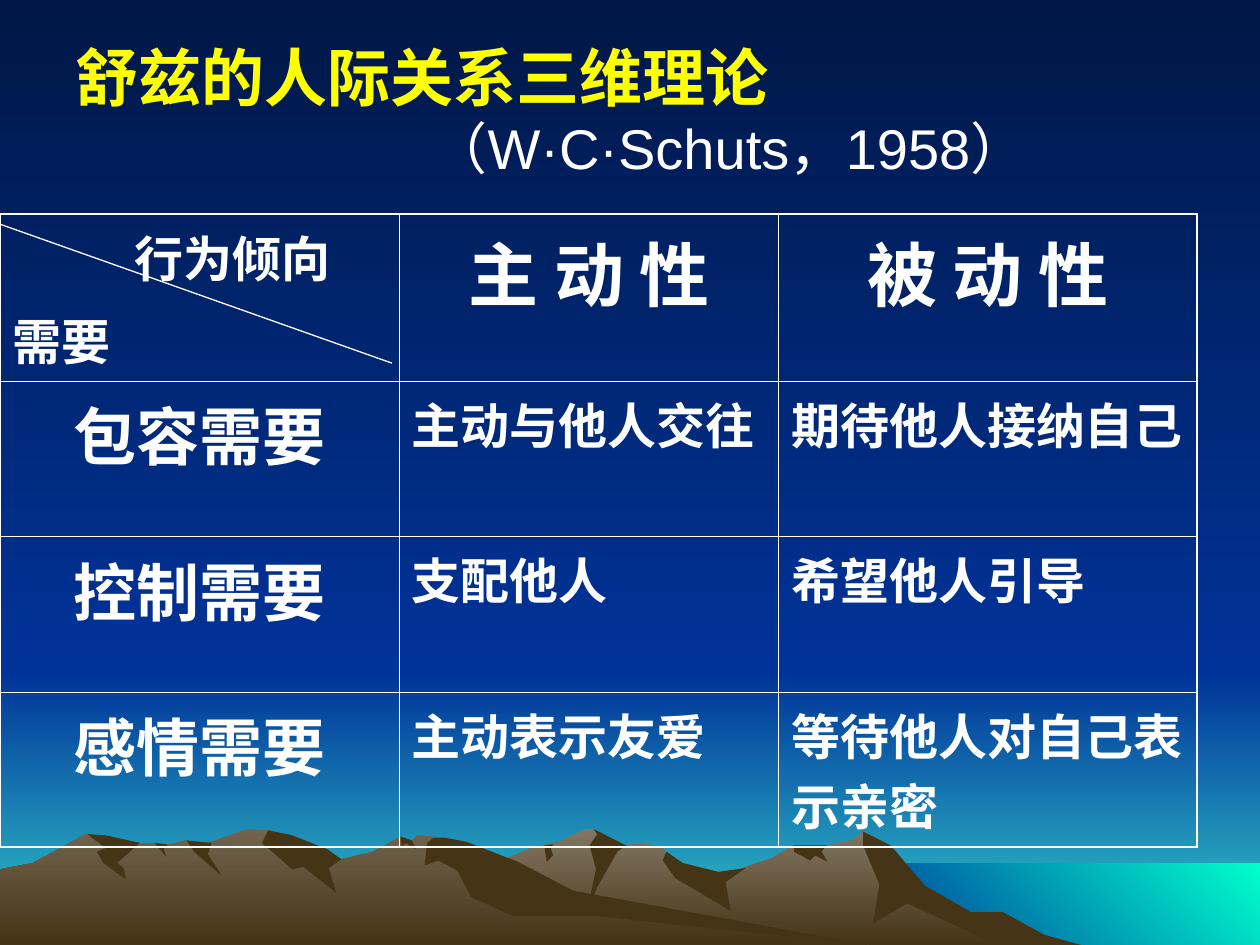
from dataclasses import dataclass

from lxml.etree import SubElement
from pptx import Presentation
from pptx.dml.color import RGBColor
from pptx.enum.shapes import MSO_CONNECTOR, MSO_SHAPE
from pptx.enum.text import MSO_ANCHOR, PP_ALIGN
from pptx.oxml.ns import qn
from pptx.util import Cm, Pt


@dataclass(frozen=True)
class Theme:
    font: str = "Arial"
    white: str = "FFFFFF"
    yellow: str = "FFFF00"
    night: tuple = ("001746", "003399")
    dusk: tuple = ("003399", "33CCCC")
    sea: tuple = ("00FFCC", "003399")
    far_rock: tuple = ("837763", "463416")
    near_rock: tuple = ("72644E", "463416")
    shade: str = "463416"
    title: int = 36
    subtitle: int = 32
    header: int = 40
    label: int = 36
    body: int = 28
    outer: float = 1.08
    inner: float = 0.45


theme = Theme()


def paint_gradient(fill, colors, clockwise=90):
    fill.gradient()
    fill.gradient_angle = 360 - clockwise
    for stop, color in zip(fill.gradient_stops, colors):
        stop.color.rgb = RGBColor.from_string(color)


def add_run(p, text, size, color=theme.white, bold=True):
    r = p.add_run()
    r.text = text
    r.font.name = theme.font
    r.font.size = Pt(size)
    r.font.bold = bold
    r.font.color.rgb = RGBColor.from_string(color)


slide_width, slide_height = 25.4, 19.05
prs = Presentation()
prs.slide_width, prs.slide_height = Cm(slide_width), Cm(slide_height)
s = prs.slides.add_slide(prs.slide_layouts[6])
paint_gradient(s.background.fill, theme.night)

horizon, shore_left, shore_top = 13.54, 17.35, 17.4
backdrop = [
    (theme.dusk, 90, 0, horizon, slide_height),
    (theme.night, 90, 0, 0, horizon),
    (theme.sea, 135, shore_left, shore_top, slide_height),
]
for colors, clockwise, left, top, bottom in backdrop:
    sp = s.shapes.add_shape(MSO_SHAPE.RECTANGLE, Cm(left), Cm(top),
                            Cm(slide_width - left), Cm(bottom - top))
    sp.shadow.inherit = False
    sp.line.fill.background()
    paint_gradient(sp.fill, colors, clockwise)

grid_columns, grid_floor = 1000, 750
grid_unit = Cm(slide_width) / grid_columns

far_skyline = [
    (258, 750), (277, 739), (327, 709), (355, 698), (394, 685), (424, 672), (444, 668),
    (465, 658), (471, 658), (486, 673), (509, 669), (526, 673), (536, 690), (566, 697),
    (613, 681), (629, 671), (656, 671), (676, 667), (685, 660), (702, 671), (723, 698),
    (764, 723), (778, 727), (821, 750),
]
far_shadows = {
    "east slope": [(685, 660), (707, 671), (734, 703), (771, 724), (796, 724), (829, 742),
                   (858, 750), (792, 750), (720, 717), (693, 733), (698, 702), (685, 671)],
    "summit": [(471, 658), (497, 671), (490, 676), (474, 704), (465, 727), (473, 690),
               (468, 671), (474, 662)],
    "saddle": [(529, 676), (542, 685), (570, 692), (592, 689), (576, 700), (580, 723),
               (536, 697), (526, 683)],
    "notch": [(630, 671), (656, 671), (652, 676), (657, 684), (647, 679), (643, 683),
              (630, 676)],
    "cleft": [(432, 671), (439, 670), (437, 673), (439, 679), (434, 684)],
}
near_skyline = [
    (0, 690), (26, 685), (68, 662), (94, 671), (123, 669), (132, 671), (148, 667),
    (160, 671), (196, 658), (215, 659), (223, 663), (236, 681), (260, 676), (271, 682),
    (296, 676), (318, 664), (327, 668), (331, 663), (354, 665), (432, 712), (690, 750),
]
near_shadows = {
    "middle peak": [(213, 659), (232, 663), (260, 674), (271, 682), (261, 689), (267, 709),
                    (241, 688), (232, 690), (208, 669)],
    "long slope": [(344, 665), (354, 665), (370, 668), (411, 684), (455, 707), (690, 750),
                   (472, 727), (407, 727), (374, 712), (363, 691), (348, 683), (337, 687),
                   (339, 669)],
    "east notch": [(318, 664), (327, 667), (330, 674), (322, 669), (319, 672)],
    "middle gully": [(148, 667), (168, 669), (165, 678), (176, 695), (154, 676)],
    "small cleft": [(123, 669), (133, 670), (130, 674), (132, 680)],
    "west peak": [(69, 662), (84, 663), (111, 669), (93, 685), (98, 689), (100, 698),
                  (82, 685), (77, 676), (84, 673)],
}

mountain_ranges = [
    (theme.far_rock, far_skyline, far_shadows),
    (theme.near_rock, near_skyline, near_shadows),
]
for rock, skyline, shadows in mountain_ranges:
    left, right = skyline[0][0], skyline[-1][0]
    body = skyline + [(right, grid_floor), (left, grid_floor)]
    for outline in [body, *shadows.values()]:
        builder = s.shapes.build_freeform(*outline[0], scale=grid_unit)
        builder.add_line_segments(outline[1:], close=True)
        sp = builder.convert_to_shape()
        sp.shadow.inherit = False
        sp.line.fill.background()
        if outline is body:
            paint_gradient(sp.fill, rock)
        else:
            sp.fill.solid()
            sp.fill.fore_color.rgb = RGBColor.from_string(theme.shade)

tf = s.shapes.add_textbox(Cm(1.27), Cm(0.62), Cm(22.86), Cm(3.18)).text_frame
tf.word_wrap = True
tf.vertical_anchor = MSO_ANCHOR.MIDDLE
add_run(tf.paragraphs[0], "舒兹的人际关系三维理论", theme.title, theme.yellow)
p = tf.add_paragraph()
p._p.get_or_add_pPr().set("marL", str(Cm(7.18)))
add_run(p, "（W·C·Schuts，1958）", theme.subtitle, bold=False)

rows = [
    ("行为倾向", "主 动 性", "被 动 性"),
    ("包容需要", "主动与他人交往", "期待他人接纳自己"),
    ("控制需要", "支配他人", "希望他人引导"),
    ("感情需要", "主动表示友爱", "等待他人对自己表示亲密"),
]
column_widths = [8.05, 7.65, 8.43]
header_height, need_height = 3.37, 3.13
row_heights = [header_height] + [need_height] * (len(rows) - 1)
last_row, last_col = len(rows) - 1, len(column_widths) - 1
table = s.shapes.add_table(len(rows), len(column_widths), Cm(0), Cm(4.32),
                           Cm(sum(column_widths)), Cm(sum(row_heights))).table
table.first_row = table.horz_banding = False
for column, width in zip(table.columns, column_widths):
    column.width = Cm(width)
for row, height in zip(table.rows, row_heights):
    row.height = Cm(height)

for i, texts in enumerate(rows):
    for j, text in enumerate(texts):
        cell = table.cell(i, j)
        p = cell.text_frame.paragraphs[0]
        if i == j == 0:
            p._p.get_or_add_pPr().set("marL", str(Cm(2.46)))
            add_run(p, text, theme.body)
            p = cell.text_frame.add_paragraph()
            p.space_before = Pt(7)
            add_run(p, "需要", theme.body)
        elif i == 0 or j == 0:
            p.alignment = PP_ALIGN.CENTER
            add_run(p, text, theme.header if i == 0 else theme.label)
        else:
            add_run(p, text, theme.body)
        tcPr = cell._tc.get_or_add_tcPr()
        edges = {"L": j == 0, "R": j == last_col, "T": i == 0, "B": i == last_row}
        for side, is_outer in edges.items():
            line_width = theme.outer if is_outer else theme.inner
            ln = SubElement(tcPr, qn(f"a:ln{side}"), w=str(Pt(line_width)))
            SubElement(SubElement(ln, qn("a:solidFill")), qn("a:srgbClr"), val=theme.white)
        cell.fill.background()

diagonal = s.shapes.add_connector(MSO_CONNECTOR.STRAIGHT, Cm(0), Cm(4.52), Cm(7.9), Cm(7.32))
diagonal.line.color.rgb = RGBColor.from_string(theme.white)
diagonal.line.width = Pt(0.75)
SubElement(diagonal._element.spPr, qn("a:effectLst"))

prs.save("out.pptx")
